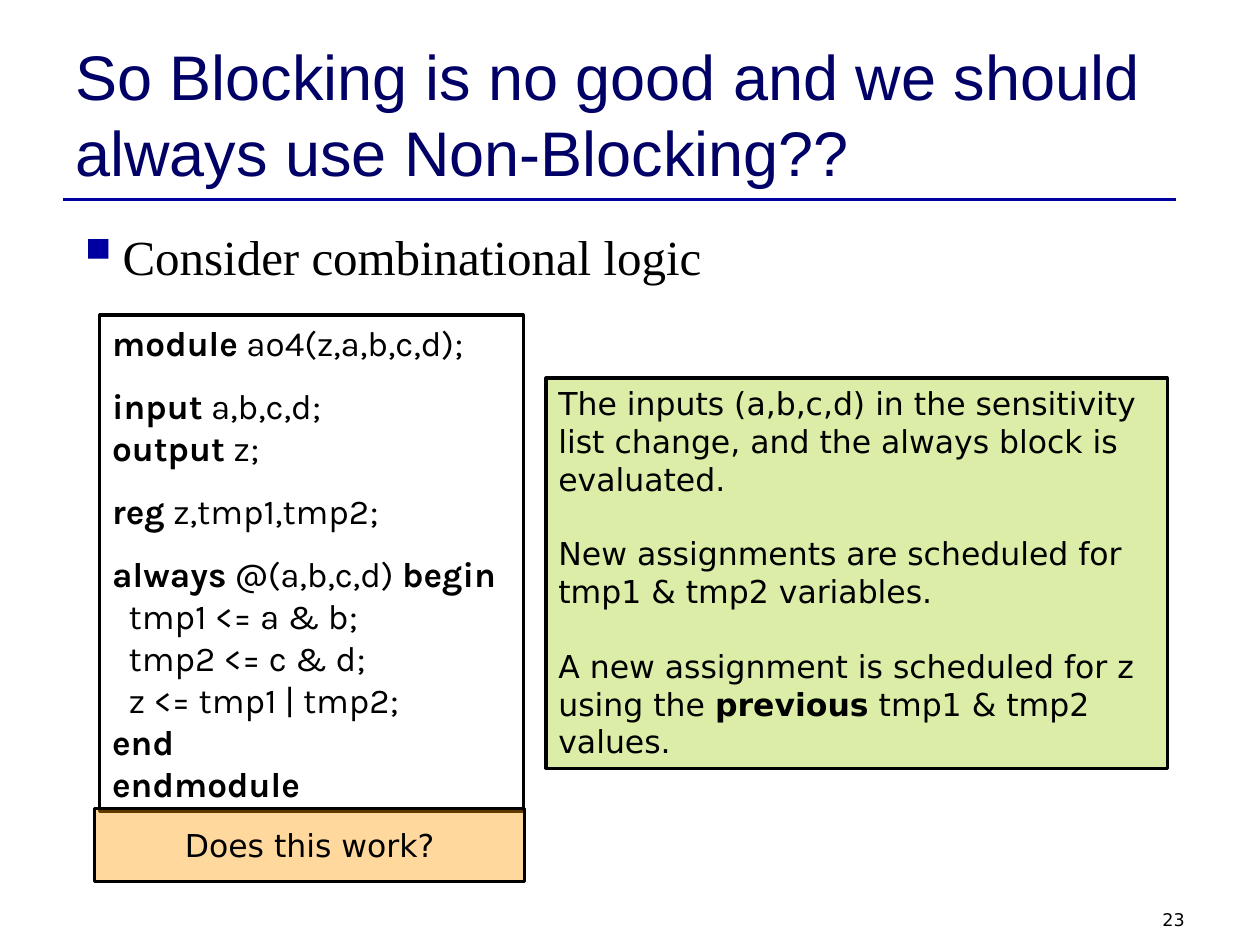
from dataclasses import dataclass

from lxml.etree import SubElement
from pptx import Presentation
from pptx.dml.color import RGBColor
from pptx.enum.shapes import MSO_CONNECTOR, MSO_SHAPE
from pptx.enum.text import MSO_ANCHOR, PP_ALIGN
from pptx.oxml.ns import qn
from pptx.util import Pt


@dataclass(frozen=True)
class Theme:
    heading: str = "000066"
    accent: str = "0000A0"
    ink: str = "000000"
    question: str = "FF9900"
    note: str = "99CC00"
    heading_font: str = "Arial"
    body_font: str = "Times New Roman"
    code_font: str = "Karla"
    note_font: str = "DejaVu Sans"
    heading_size: float = 36
    body_size: float = 28
    code_size: float = 20
    note_size: float = 18
    number_size: float = 10
    rule_width: float = 1.5
    border_width: float = 1.75


class SlideBuilder:
    def __init__(self, page, theme):
        self.page = page
        self.theme = theme

    def fill_text(self, shape, paragraphs, font, size, color=None,
                  align=PP_ALIGN.LEFT, anchor=MSO_ANCHOR.TOP, wrap=True):
        frame = shape.text_frame
        frame.word_wrap = wrap
        frame.vertical_anchor = anchor
        for index, (before, indent, spans) in enumerate(paragraphs):
            para = frame.add_paragraph() if index else frame.paragraphs[0]
            para.alignment = align
            para.space_before = Pt(before)
            if indent:
                para._p.get_or_add_pPr().set("marL", str(Pt(indent)))
            for content, bold in spans:
                span = para.add_run()
                span.text = content
                span.font.name = font
                span.font.size = Pt(size)
                span.font.bold = bold
                span.font.color.rgb = RGBColor.from_string(color or self.theme.ink)
        return frame

    def text(self, bounds, paragraphs, font, size, **style):
        box = self.page.shapes.add_textbox(*map(Pt, bounds))
        return self.fill_text(box, paragraphs, font, size, **style)

    def panel(self, bounds, paragraphs, font, size, fill=None, opacity=100, **style):
        box = self.page.shapes.add_shape(MSO_SHAPE.RECTANGLE, *map(Pt, bounds))
        box.shadow.inherit = False
        box.line.color.rgb = RGBColor.from_string(self.theme.ink)
        box.line.width = Pt(self.theme.border_width)
        if fill:
            box.fill.solid()
            box.fill.fore_color.rgb = RGBColor.from_string(fill)
            color = box._element.spPr.find(qn("a:solidFill"))[0]
            SubElement(color, qn("a:alpha"), val=str(opacity * 1000))
        else:
            box.fill.background()
        return self.fill_text(box, paragraphs, font, size, **style)

    def rule(self, left, right, top):
        line = self.page.shapes.add_connector(
            MSO_CONNECTOR.STRAIGHT, Pt(left), Pt(top), Pt(right), Pt(top))
        line.line.color.rgb = RGBColor.from_string(self.theme.accent)
        line.line.width = Pt(self.theme.rule_width)
        SubElement(line._element.spPr, qn("a:effectLst"))

    def bullet(self, bounds, content, indent, before):
        frame = self.text(bounds, [(before, indent, [(content, False)])],
                          self.theme.body_font, self.theme.body_size)
        properties = frame.paragraphs[0]._p.get_or_add_pPr()
        properties.set("indent", str(-Pt(indent)))
        color = SubElement(properties, qn("a:buClr"))
        SubElement(color, qn("a:srgbClr"), val=self.theme.accent)
        SubElement(properties, qn("a:buSzPct"), val="125000")
        SubElement(properties, qn("a:buChar"), char="▪")


def main():
    theme = Theme()
    deck = Presentation()
    deck.slide_width, deck.slide_height = Pt(720), Pt(540)
    slide = SlideBuilder(deck.slides.add_slide(deck.slide_layouts[6]), theme)

    slide.rule(36, 672, 114)
    slide.text((516, 516, 168, 18), [(0, 0, [("23", False)])],
               theme.note_font, theme.number_size, align=PP_ALIGN.RIGHT)
    slide.text((36, 21.6, 648, 90),
               [(0, 0, [("So Blocking is no good and we should always use Non-Blocking??", False)])],
               theme.heading_font, theme.heading_size,
               color=theme.heading, anchor=MSO_ANCHOR.BOTTOM)
    slide.bullet((36, 126, 648, 48), "Consider combinational logic", 27, 7)

    code_gap, code_indent, note_gap = 12, 9.4, 21
    code = [
        (0, 0, [("module", True), (" ao4(z,a,b,c,d);", False)]),
        (code_gap, 0, [("input", True), (" a,b,c,d;", False)]),
        (0, 0, [("output", True), (" z;", False)]),
        (code_gap, 0, [("reg", True), (" z,tmp1,tmp2;", False)]),
        (code_gap, 0, [("always", True), (" @(a,b,c,d) ", False), ("begin", True)]),
        (0, code_indent, [("tmp1 <= a & b;", False)]),
        (0, code_indent, [("tmp2 <= c & d;", False)]),
        (0, code_indent, [("z <= tmp1 | tmp2;", False)]),
        (0, 0, [("end", True)]),
        (0, 0, [("endmodule", True)]),
    ]
    slide.panel((57, 180, 242, 283.5), code, theme.code_font, theme.code_size, wrap=False)
    slide.panel((54, 462, 246, 42), [(0, 0, [("Does this work?", False)])],
                theme.note_font, theme.note_size, fill=theme.question, opacity=38,
                align=PP_ALIGN.CENTER, anchor=MSO_ANCHOR.MIDDLE, wrap=False)
    notes = [
        (0, 0, [("The inputs (a,b,c,d) in the sensitivity list change, "
                 "and the always block is evaluated.", False)]),
        (note_gap, 0, [("New assignments are scheduled for tmp1 & tmp2 variables.", False)]),
        (note_gap, 0, [("A new assignment is scheduled for z using the ", False),
                       ("previous", True), (" tmp1 & tmp2 values.", False)]),
    ]
    slide.panel((312, 216, 355, 223), notes, theme.note_font, theme.note_size,
                fill=theme.note, opacity=35)
    deck.save("out.pptx")


if __name__ == "__main__":
    main()
